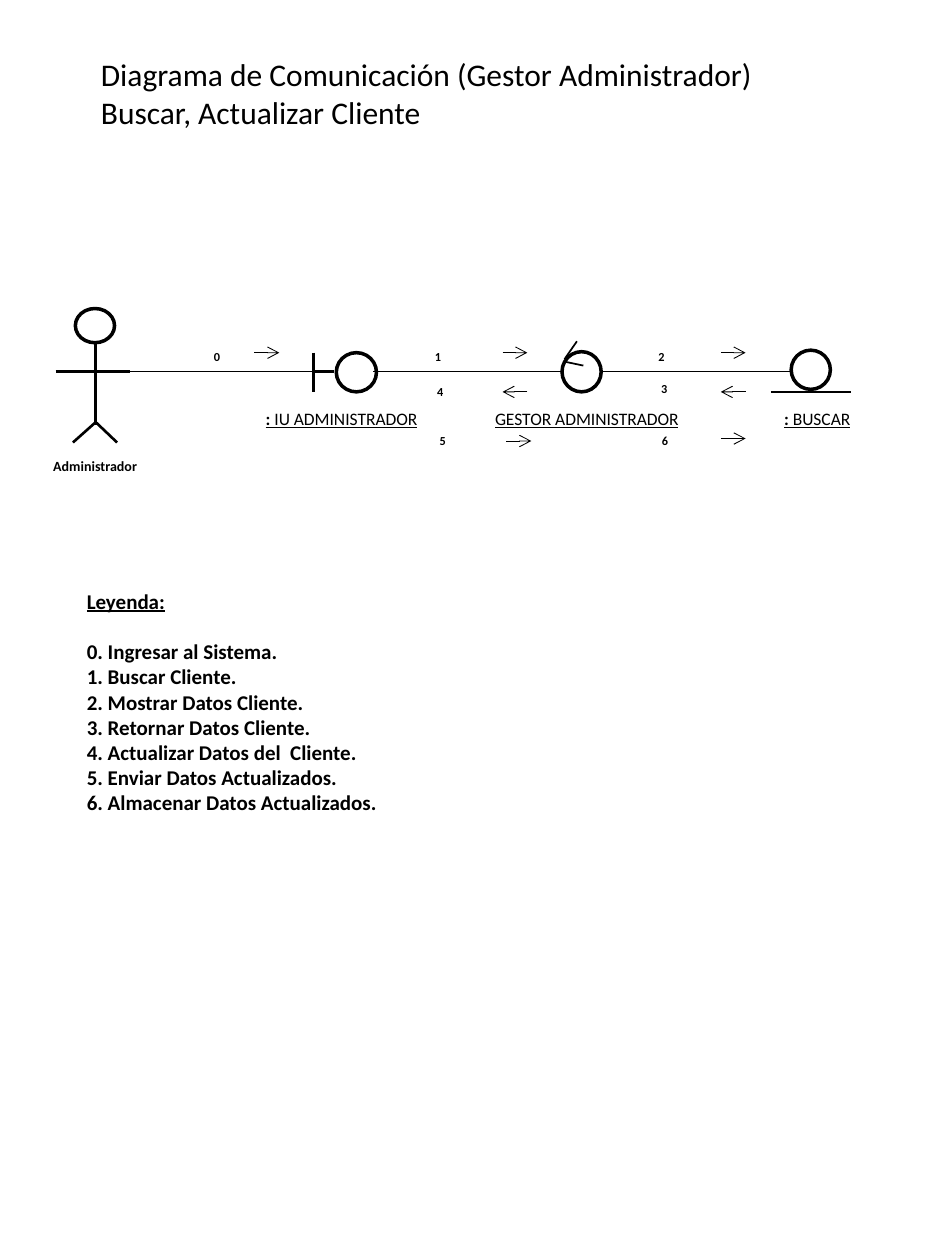
from dataclasses import dataclass

from lxml.etree import SubElement
from pptx import Presentation
from pptx.dml.color import RGBColor
from pptx.enum.shapes import MSO_CONNECTOR, MSO_SHAPE
from pptx.enum.text import MSO_ANCHOR, MSO_AUTO_SIZE, PP_ALIGN
from pptx.oxml.ns import qn
from pptx.util import Cm, Pt

BLACK = RGBColor(0x00, 0x00, 0x00)
WHITE = RGBColor(0xFF, 0xFF, 0xFF)
FONT = "Calibri"

AXIS_Y = 7.49
LINK_LENGTH = 3.81
ARROW_LENGTH = 0.5
NUMBER_HEIGHT = 0.56
NAME_TOP, NAME_HEIGHT = 8.1, 0.69


@dataclass
class Stroke:
    x1: float
    y1: float
    x2: float
    y2: float


@dataclass
class Figure:
    """A UML symbol: a circle (left, top, width, height) and its strokes."""
    circle: tuple[float, float, float, float]
    strokes: list[Stroke]
    weight: float


@dataclass
class Message:
    number: int
    left: float
    top: float
    width: float
    arrow_left: float
    arrow_y: float
    backward: bool = False


@dataclass
class ObjectName:
    left: float
    width: float
    prefix: str
    name: str


ACTOR = Figure((1.52, 6.22, 0.79, 0.69), [
    Stroke(1.93, 6.91, 1.93, 8.56),
    Stroke(1.93, 8.51, 1.47, 8.92),
    Stroke(1.93, 8.51, 2.36, 8.92),
    Stroke(1.12, AXIS_Y, 2.62, AXIS_Y),
], 1.5)
BOUNDARY = Figure((6.78, 7.11, 0.81, 0.79), [
    Stroke(6.32, 7.11, 6.32, 7.9),
    Stroke(6.32, AXIS_Y, 6.73, AXIS_Y),
], 2)
CONTROL = Figure((11.33, 7.09, 0.79, 0.81), [
    Stroke(11.38, 7.29, 11.76, 7.37),
    Stroke(11.38, 7.24, 11.63, 6.88),
], 1)
ENTITY = Figure((15.95, 7.06, 0.79, 0.79), [Stroke(15.54, 7.9, 17.15, 7.9)], 1)

LINK_STARTS = [2.51, 7.52, 12.12]

MESSAGES = [
    Message(0, 2.51, 6.91, 3.73, 5.13, 7.11),
    Message(1, 8.13, 6.91, 1.4, 10.13, 7.11),
    Message(2, 12.93, 6.91, 0.81, 14.53, 7.11),
    Message(3, 12.73, 7.57, 1.32, 14.53, 7.9, backward=True),
    Message(4, 8.38, 7.62, 0.99, 10.13, 7.9, backward=True),
    Message(5, 8.33, 8.61, 1.19, 10.21, 8.89),
    Message(6, 13.0, 8.61, 0.81, 14.53, 8.84),
]

OBJECT_NAMES = [
    ObjectName(4.93, 3.91, ": ", "IU ADMINISTRADOR"),
    ObjectName(9.53, 4.6, "", "GESTOR ADMINISTRADOR"),
    ObjectName(14.53, 3.89, ":", " BUSCAR"),
]

TITLE = ["Diagrama de Comunicación (Gestor Administrador)", "Buscar, Actualizar Cliente"]
LEGEND = [
    "Leyenda:",
    "0. Ingresar al Sistema.",
    "1. Buscar Cliente.",
    "2. Mostrar Datos Cliente.",
    "3. Retornar Datos Cliente.",
    "4. Actualizar Datos del  Cliente.",
    "5. Enviar Datos Actualizados.",
    "6. Almacenar Datos Actualizados.",
]


def format_run(run, size: float, bold: bool = False, underline: bool = False) -> None:
    run.font.name = FONT
    run.font.size = Pt(size)
    run.font.bold = bold
    run.font.underline = underline
    run.font.color.rgb = BLACK


def add_text(slide, left: float, top: float, width: float, height: float,
             text: str, size: float, bold: bool = False, align=PP_ALIGN.CENTER):
    box = slide.shapes.add_textbox(Cm(left), Cm(top), Cm(width), Cm(height))
    text_frame = box.text_frame
    text_frame.word_wrap = True
    text_frame.text = text
    for paragraph in text_frame.paragraphs:
        paragraph.alignment = align
        for run in paragraph.runs:
            format_run(run, size, bold)
    return text_frame


def add_line(shapes, stroke: Stroke, weight: float, arrow: bool = False) -> None:
    line = shapes.add_connector(MSO_CONNECTOR.STRAIGHT, Cm(stroke.x1), Cm(stroke.y1),
                                Cm(stroke.x2), Cm(stroke.y2))
    line.line.color.rgb = BLACK
    line.line.width = Pt(weight)
    if arrow:
        SubElement(line.line._get_or_add_ln(), qn("a:tailEnd"), type="arrow")
    SubElement(line._element.spPr, qn("a:effectLst"))


def add_figure(slide, figure: Figure) -> None:
    shapes = slide.shapes.add_group_shape().shapes
    circle = shapes.add_shape(MSO_SHAPE.OVAL, *map(Cm, figure.circle))
    circle.shadow.inherit = False
    circle.fill.solid()
    circle.fill.fore_color.rgb = WHITE
    circle.line.color.rgb = BLACK
    circle.line.width = Pt(2)
    for stroke in figure.strokes:
        add_line(shapes, stroke, figure.weight)


def add_message(slide, message: Message) -> None:
    add_text(slide, message.left, message.top, message.width, NUMBER_HEIGHT,
             str(message.number), 7, bold=True)
    start, end = message.arrow_left, message.arrow_left + ARROW_LENGTH
    if message.backward:
        start, end = end, start
    add_line(slide.shapes, Stroke(start, message.arrow_y, end, message.arrow_y), 0.5, arrow=True)


def add_object_name(slide, label: ObjectName) -> None:
    text_frame = add_text(slide, label.left, NAME_TOP, label.width, NAME_HEIGHT, "", 10)
    for text, bold in ((label.prefix, True), (label.name, False)):
        if text:
            run = text_frame.paragraphs[0].add_run()
            run.text = text
            format_run(run, 10, bold, underline=True)


def set_title(slide) -> None:
    title = slide.shapes.title
    title.left, title.top, title.width, title.height = map(Cm, (1.78, 0.99, 14.68, 2.57))
    text_frame = title.text_frame
    text_frame.word_wrap = True
    text_frame.auto_size = MSO_AUTO_SIZE.NONE
    text_frame.vertical_anchor = MSO_ANCHOR.TOP
    text_frame.text = "\n".join(TITLE)
    for paragraph in text_frame.paragraphs:
        paragraph.alignment = PP_ALIGN.LEFT
        format_run(paragraph.runs[0], 18)


def add_legend(slide) -> None:
    text_frame = add_text(slide, 1.5, 11.73, 8.03, 5.64, "\n".join(LEGEND), 12,
                          bold=True, align=PP_ALIGN.LEFT)
    heading = text_frame.paragraphs[0]
    heading.runs[0].font.underline = True
    heading.space_after = Pt(14.6)


def main() -> None:
    presentation = Presentation()
    presentation.slide_width, presentation.slide_height = Cm(19.05), Cm(25.4)
    slide = presentation.slides.add_slide(presentation.slide_layouts[5])
    set_title(slide)
    for figure in (ACTOR, BOUNDARY, ENTITY, CONTROL):
        add_figure(slide, figure)
    add_text(slide, 0, 9.09, 3.84, 0.61, "Administrador", 8, bold=True)
    for label in OBJECT_NAMES:
        add_object_name(slide, label)
    for message in MESSAGES:
        add_message(slide, message)
    for start in LINK_STARTS:
        add_line(slide.shapes, Stroke(start, AXIS_Y, start + LINK_LENGTH, AXIS_Y), 0.75)
    add_legend(slide)
    presentation.save("out.pptx")


if __name__ == "__main__":
    main()
